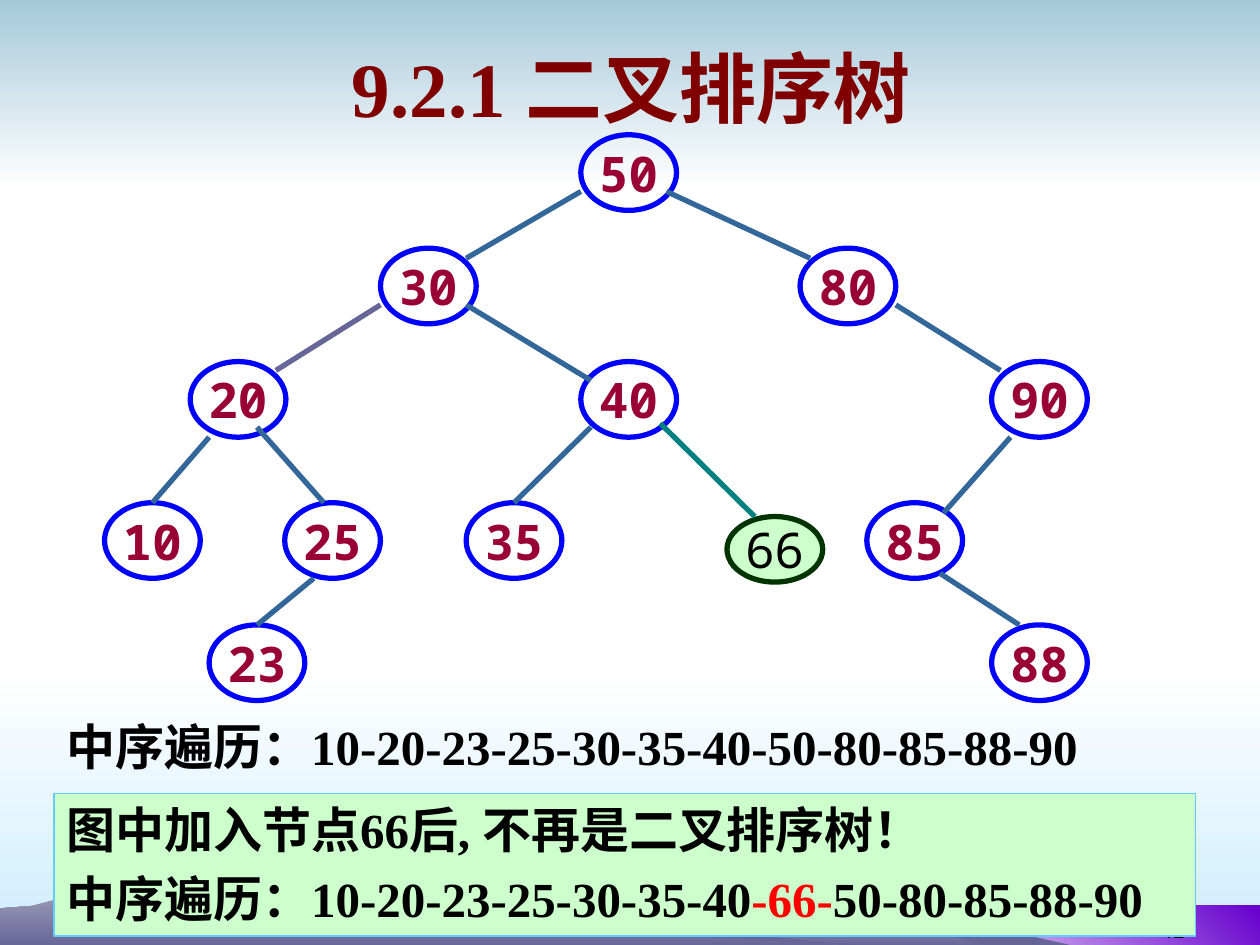
"""Build the binary search tree slide on a grid of 100 columns by 75 rows."""
from lxml import etree
from pptx import Presentation, util as u
from pptx.dml.color import RGBColor
from pptx.enum import shapes, text
from pptx.oxml.ns import qn

THEME = dict(
    sky="A6C9DA", ice="CCECFF", white="FFFFFF", violet="6600CC", hill="676597",
    haze="9F9EB8", mist="AEAEC2", ring="0000FF", number="990033", edge="336699",
    soft_edge="666699", new_edge="008080", new_ring="003300", green="CCFFCC",
    border="66CCFF", title="800000", ink="000000", alert="FF0000",
    serif="Times New Roman", mono="Noto Sans Mono", sans="Arial",
    title_size=44, body_size=28, small_size=12, stroke=3)
RGB = {k: RGBColor.from_string(v) for k, v in THEME.items()
       if isinstance(v, str) and len(v) == 6}

prs = Presentation()
prs.slide_width, prs.slide_height = u.Inches(10), u.Inches(7.5)
CELL = prs.slide_width // 100
s = prs.slides.add_slide(prs.slide_layouts[5])


def grid(*cells):
    """Turn grid cells into slide lengths."""
    return [round(c * CELL) for c in cells]


def add_run(p, words, size, color, font, bold=True):
    """Add one formatted run to a paragraph."""
    r = p.add_run()
    r.text = words
    r.font.size, r.font.name, r.font.bold = u.Pt(THEME[size]), THEME[font], bold
    r.font.color.rgb = RGB[color]


bands = [
    ((0, 53.3, 100, 21.7), "white", "ice", 270),
    ((0, 0, 100, 15), "sky", "white", 270),
    ((68.3, 71.9, 31.7, 3.3), "white", "violet", 45),
]
hills = [
    ([(25.8, 75.2), (32.7, 73.1), (39.5, 71.8), (47.1, 70.6), (52.9, 71.4),
      (56.6, 72.5), (62.9, 71.2), (68.5, 70.6), (72.3, 72.5), (82.1, 75.2)],
     "mist", "hill"),
    ([(68.5, 70.6), (70.7, 71.2), (73.4, 72.8), (77.1, 73.8), (79.6, 73.8),
      (85.8, 75.2), (79.2, 75.2), (72, 73.5), (69.3, 74.3), (69.8, 72.7)],
     "hill", "hill"),
    ([(0, 72.1), (2.6, 71.9), (5.6, 71.1), (6.8, 70.7), (9.4, 71.2),
      (16, 71.2), (21.2, 70.6), (23.6, 71.7), (27.9, 71.7), (33.1, 70.8),
      (43.2, 73.2), (69, 75.2), (0, 75.2)], "haze", "hill"),
    ([(33.7, 71.9), (34.4, 70.8), (41.1, 71.8), (45.5, 72.9), (69, 75.1),
      (47.2, 73.9), (40.7, 73.9), (36.3, 72.2)], "hill", "hill"),
]
scenery = []
for box, start, end, angle in bands:
    sp = s.shapes.add_shape(shapes.MSO_SHAPE.RECTANGLE, *grid(*box))
    scenery.append((sp, start, end, angle))
for outline, start, end in hills:
    first, *rest = [grid(*point) for point in outline]
    builder = s.shapes.build_freeform(*first)
    builder.add_line_segments(rest, close=True)
    scenery.append((builder.convert_to_shape(), start, end, 270))
for sp, start, end, angle in scenery:
    sp.shadow.inherit = False
    sp.line.fill.background()
    if start == end:
        sp.fill.solid()
        sp.fill.fore_color.rgb = RGB[start]
        continue
    sp.fill.gradient()
    sp.fill.gradient_angle = angle
    for stop, color, place in zip(sp.fill.gradient_stops, (start, end), (0, 1)):
        stop.color.rgb, stop.position = RGB[color], place

sp = s.shapes.add_textbox(*grid(71.7, 70.3, 23.3, 5))
tf = sp.text_frame
tf.word_wrap, tf.vertical_anchor = True, text.MSO_ANCHOR.BOTTOM
tf.paragraphs[0].alignment = text.PP_ALIGN.RIGHT
add_run(tf.paragraphs[0], "41", "small_size", "ink", "sans", False)

levels = [
    (10.7, {"50": 46.1}),
    (19.7, {"30": 30.2, "80": 63.5}),
    (28.7, {"20": 15.1, "40": 46.1, "90": 78.7}),
    (39.9, {"10": 8.3, "25": 22.6, "35": 37, "85": 68.8}),
    (41, {"66": 57.7}),
    (49.6, {"23": 16.6, "88": 78.7}),
]
fills = {"85": "white", "40": "white", "66": "green"}
nodes = {}
for top, row in levels:
    for key, left in row.items():
        added = key == "66"
        sp = s.shapes.add_shape(shapes.MSO_SHAPE.OVAL,
                                *grid(left, top, 7.6, 5.2 if added else 6))
        sp.shadow.inherit = False
        sp.fill.background()
        if key in fills:
            sp.fill.solid()
            sp.fill.fore_color.rgb = RGB[fills[key]]
        sp.line.color.rgb = RGB["new_ring" if added else "ring"]
        sp.line.width = u.Pt(THEME["stroke"])
        tf = sp.text_frame
        tf.word_wrap, tf.vertical_anchor = False, text.MSO_ANCHOR.MIDDLE
        tf.paragraphs[0].alignment = text.PP_ALIGN.CENTER
        add_run(tf.paragraphs[0], key, "body_size",
                "ink" if added else "number", "mono", not added)
        nodes[key] = sp

edges = [
    ((46.1, 15.2, 37, 20.5), "30"), ((52.9, 15.2, 64.3, 20.5), "80"),
    ((30.2, 24.2, 21.9, 29.4), "20"), ((37, 24.2, 46.9, 30.2), "40"),
    ((71.1, 24.2, 79.4, 29.4), "90"), ((16.6, 34.7, 12, 39.9), "10"),
    ((20.4, 33.9, 25.7, 39.9), "25"), ((46.9, 33.9, 40.8, 39.9), "35"),
    ((52.4, 33.6, 59.9, 41), "66"), ((80.2, 34.7, 74.9, 40.7), "85"),
    ((24.9, 45.9, 20.4, 49.6), "23"), ((74.6, 45.5, 80.9, 49.6), "88"),
]
edge_colors = {"20": "soft_edge", "66": "new_edge"}
for ends, child in edges:
    cx = s.shapes.add_connector(shapes.MSO_CONNECTOR.STRAIGHT, *grid(*ends))
    cx.line.color.rgb = RGB[edge_colors.get(child, "edge")]
    cx.line.width = u.Pt(THEME["stroke"])
    etree.SubElement(cx._element.spPr, qn("a:effectLst"))
    if child in ("10", "35", "23"):
        cx.end_connect(nodes[child], 0)

title = s.shapes.title
title.left, title.top, title.width, title.height = grid(5.1, 1.3, 90, 11.2)
tf = title.text_frame
tf.vertical_anchor = text.MSO_ANCHOR.MIDDLE
tf.paragraphs[0].alignment = text.PP_ALIGN.CENTER
add_run(tf.paragraphs[0], "9.2.1 二叉排序树", "title_size", "title", "serif")
s.shapes._spTree.append(title._element)

traversal = s.shapes.add_textbox(*grid(4.3, 56.4, 90.6, 5.7))
note = s.shapes.add_shape(shapes.MSO_SHAPE.RECTANGLE, *grid(4.3, 63, 90.6, 11.3))
note.shadow.inherit = False
note.fill.solid()
note.fill.fore_color.rgb = RGB["green"]
note.line.color.rgb, note.line.width = RGB["border"], u.Pt(0.75)
passages = [
    (traversal, [[("中序遍历：10-20-23-25-30-35-40-50-80-85-88-90", "ink")]]),
    (note, [[("图中加入节点66后, 不再是二叉排序树！", "ink")],
            [("中序遍历：10-20-23-25-30-35-40", "ink"), ("-66-", "alert"),
             ("50-80-85-88-90", "ink")]]),
]
for sp, lines in passages:
    tf = sp.text_frame
    tf.word_wrap, tf.vertical_anchor = True, text.MSO_ANCHOR.TOP
    tf.auto_size = text.MSO_AUTO_SIZE.SHAPE_TO_FIT_TEXT
    for i, line in enumerate(lines):
        p = tf.add_paragraph() if i else tf.paragraphs[0]
        p.alignment = text.PP_ALIGN.LEFT
        p.space_before = u.Pt(5.6 if i else 0)
        for words, color in line:
            add_run(p, words, "body_size", color, "serif")

prs.save("out.pptx")
